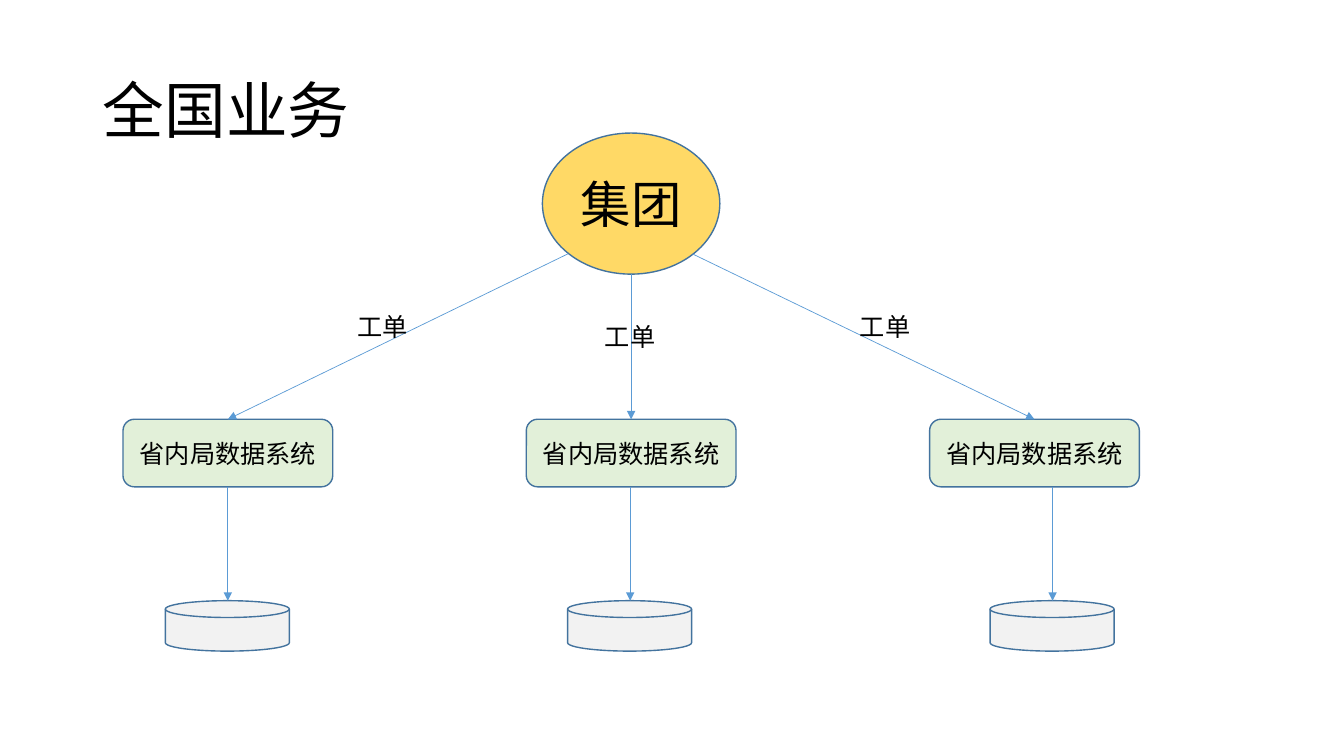
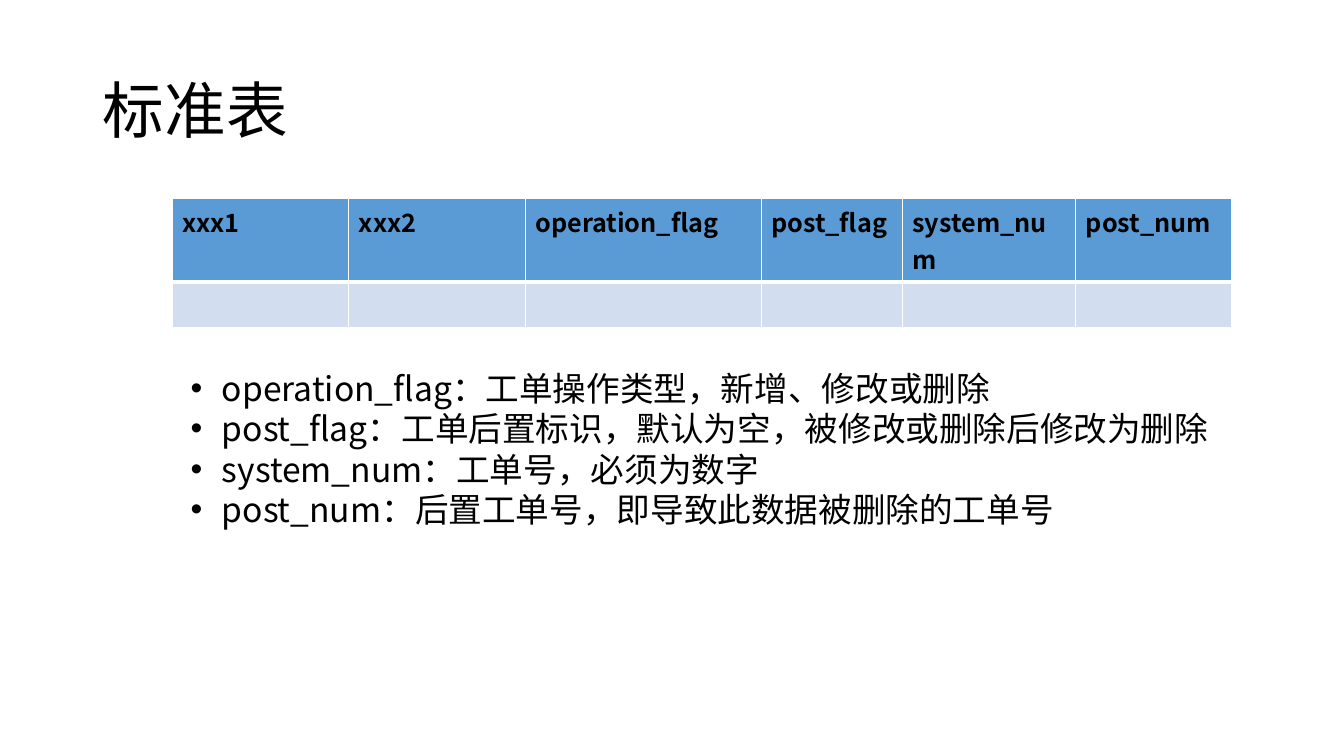
from dataclasses import dataclass

from lxml import etree
from pptx import Presentation
from pptx.dml.color import RGBColor
from pptx.enum.shapes import MSO_CONNECTOR, MSO_SHAPE
from pptx.enum.text import MSO_ANCHOR, MSO_AUTO_SIZE, PP_ALIGN
from pptx.oxml.ns import qn
from pptx.util import Pt

ELLIPSE, ROUNDED, DISK = MSO_SHAPE.OVAL, MSO_SHAPE.ROUNDED_RECTANGLE, MSO_SHAPE.FLOWCHART_MAGNETIC_DISK
STRAIGHT = MSO_CONNECTOR.STRAIGHT
LEFT, CENTER = PP_ALIGN.LEFT, PP_ALIGN.CENTER
TOP, MIDDLE = MSO_ANCHOR.TOP, MSO_ANCHOR.MIDDLE
FIT_NONE, FIT_SHAPE = MSO_AUTO_SIZE.NONE, MSO_AUTO_SIZE.SHAPE_TO_FIT_TEXT
PX = 9144  # 100 px to the inch


@dataclass(frozen=True)
class Theme:
    font: str = "Noto Sans CJK SC"
    ink: str = "000000"
    paper: str = "FFFFFF"
    outline: str = "43739E"
    accent: str = "5B9BD5"
    group: str = "FFD966"
    system: str = "E2F0D9"
    store: str = "F2F2F2"
    row: str = "D2DEEF"
    title_size: int = 44
    group_size: int = 36
    list_size: int = 24
    text_size: int = 18


theme = Theme()


def style_text(frame, size, align=LEFT, bold=False):
    for paragraph in frame.paragraphs:
        paragraph.alignment = align
        for run in paragraph.runs:
            run.font.size = Pt(size)
            run.font.bold = bold
            run.font.name = theme.font
            run.font.color.rgb = RGBColor.from_string(theme.ink)
            east_asian = etree.Element(qn("a:ea"), typeface=theme.font)
            run.font._element.find(qn("a:latin")).addnext(east_asian)


def add_arrow(slide, start, end):
    arrow = slide.shapes.add_connector(STRAIGHT, *(v * PX for v in start + end))
    arrow.line.width = Pt(0.5)
    arrow.line.color.rgb = RGBColor.from_string(theme.accent)
    etree.SubElement(arrow.line._get_or_add_ln(), qn("a:tailEnd"), type="triangle")
    etree.SubElement(arrow._element.spPr, qn("a:effectLst"))


prs = Presentation()
prs.slide_width, prs.slide_height = 1333 * PX, 750 * PX

# Slides and titles
slides = []
for heading, layout in (("全国业务", 5), ("标准表", 1)):
    slide = prs.slides.add_slide(prs.slide_layouts[layout])
    title = slide.shapes.title
    title.left, title.top, title.width, title.height = (v * PX for v in (92, 40, 1150, 145))
    title.text_frame.text = heading
    title.text_frame.vertical_anchor = MIDDLE
    title.text_frame.auto_size = FIT_NONE
    title.text_frame.paragraphs[0].line_spacing = 0.9
    style_text(title.text_frame, theme.title_size)
    slides.append(slide)
business, standard = slides

# Slide 1: group, provincial systems and their stores
system_lefts = [122 + 400 * i for i in range(3)]
store_lefts = [164, 563, 982]
nodes = [(ELLIPSE, (538, 132, 176, 140), theme.group, "集团", theme.group_size)]
for left in system_lefts:
    nodes.append((ROUNDED, (left, 416, 208, 67), theme.system, "省内局数据系统", theme.text_size))
for left in store_lefts:
    nodes.append((DISK, (left, 596, 123, 50), theme.store, "", theme.text_size))

for kind, box, fill, text, size in nodes:
    node = business.shapes.add_shape(kind, *(v * PX for v in box))
    node.shadow.inherit = False
    node.fill.solid()
    node.fill.fore_color.rgb = RGBColor.from_string(fill)
    node.line.color.rgb = RGBColor.from_string(theme.outline)
    node.line.width = Pt(1)
    if text:
        node.text_frame.text = text
        node.text_frame.vertical_anchor = MIDDLE
        style_text(node.text_frame, size, CENTER)

# Arrows from the group to each system, and from each system to its store
group_exits = [(563, 252), (626, 272), (687, 252)]
for exit_point, system_left, store_left in zip(group_exits, system_lefts, store_lefts):
    add_arrow(business, exit_point, (system_left + 104, 416))
    add_arrow(business, (store_left + 62, 483), (store_left + 62, 596))

# Work order labels on the upper arrows
for left, top in ((345, 304), (590, 314), (843, 304)):
    order = business.shapes.add_textbox(left * PX, top * PX, 71 * PX, 40 * PX)
    order.text_frame.text = "工单"
    order.text_frame.word_wrap = False
    order.text_frame.auto_size = FIT_SHAPE
    style_text(order.text_frame, theme.text_size)

# Slide 2: table of fields
fields = {"xxx1": 175, "xxx2": 175, "operation_flag": 234,
          "post_flag": 140, "system_num": 172, "post_num": 155}
row_height = 46
table = standard.shapes.add_table(
    2, len(fields), 171 * PX, 197 * PX, sum(fields.values()) * PX, 2 * row_height * PX).table
table.horz_banding = False
for column, (field, width) in enumerate(fields.items()):
    table.columns[column].width = width * PX
    table.cell(0, column).text_frame.text = field
    style_text(table.cell(0, column).text_frame, theme.text_size, bold=True)
    for row, fill in enumerate((theme.accent, theme.row)):
        cell = table.cell(row, column)
        cell.fill.solid()
        cell.fill.fore_color.rgb = RGBColor.from_string(fill)
        # The rule between the two rows is heavier than the others
        heavy_side = ("lnB", "lnT")[row]
        for position, side in enumerate(("lnL", "lnR", "lnT", "lnB")):
            weight = Pt(3 if side == heavy_side else 1)
            border = etree.Element(qn(f"a:{side}"), w=str(weight))
            paint = etree.SubElement(border, qn("a:solidFill"))
            etree.SubElement(paint, qn("a:srgbClr"), val=theme.paper)
            cell._tc.get_or_add_tcPr().insert(position, border)

# Meaning of the fields
meanings = standard.placeholders[1]
meanings.left, meanings.top, meanings.width, meanings.height = (v * PX for v in (179, 360, 1063, 202))
frame = meanings.text_frame
frame.text = "\n".join((
    "operation_flag：工单操作类型，新增、修改或删除",
    "post_flag：工单后置标识，默认为空，被修改或删除后修改为删除",
    "system_num：工单号，必须为数字",
    "post_num：后置工单号，即导致此数据被删除的工单号",
))
frame.vertical_anchor = TOP
frame.auto_size = FIT_NONE
for paragraph in frame.paragraphs:
    properties = paragraph._p.get_or_add_pPr()
    properties.set("marL", str(31 * PX))
    properties.set("indent", str(-31 * PX))
    etree.SubElement(properties, qn("a:buFont"), typeface="Arial")
    etree.SubElement(properties, qn("a:buChar"), char="•")
    paragraph.space_before = Pt(0)
    paragraph.line_spacing = 1.0
style_text(frame, theme.list_size)

prs.save("out.pptx")
